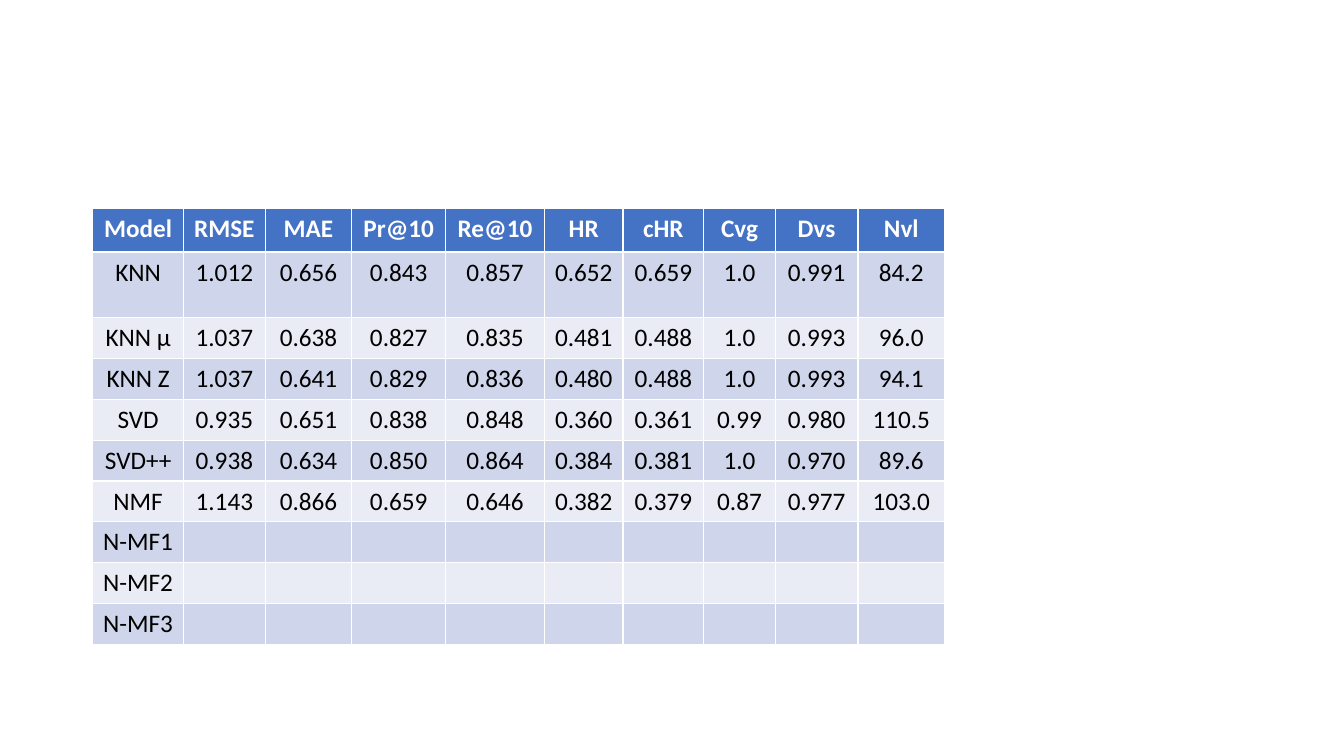
import dataclasses

import pptx
import pptx.dml.color
import pptx.enum.text
import pptx.table
import pptx.util

PX = 9144  # EMU per px, 100 px to the inch
HEADER_BLUE = pptx.dml.color.RGBColor(0x44, 0x72, 0xC4)
BAND_DARK = pptx.dml.color.RGBColor(0xCF, 0xD5, 0xEA)
BAND_LIGHT = pptx.dml.color.RGBColor(0xE9, 0xEB, 0xF5)
WHITE = pptx.dml.color.RGBColor(0xFF, 0xFF, 0xFF)
BLACK = pptx.dml.color.RGBColor(0x00, 0x00, 0x00)


@dataclasses.dataclass(frozen=True)
class Column:
    heading: str
    width: int


@dataclasses.dataclass(frozen=True)
class Result:
    model: str
    scores: str = ""
    height: int = 37


COLUMNS = [
    Column("Model", 90),
    Column("RMSE", 81),
    Column("MAE", 86),
    Column("Pr@10", 93),
    Column("Re@10", 98),
    Column("HR", 78),
    Column("cHR", 80),
    Column("Cvg", 71),
    Column("Dvs", 82),
    Column("Nvl", 86),
]
RESULTS = [
    Result("KNN", "1.012 0.656 0.843 0.857 0.652 0.659 1.0 0.991 84.2", 65),
    Result("KNN μ", "1.037 0.638 0.827 0.835 0.481 0.488 1.0 0.993 96.0"),
    Result("KNN Z", "1.037 0.641 0.829 0.836 0.480 0.488 1.0 0.993 94.1"),
    Result("SVD", "0.935 0.651 0.838 0.848 0.360 0.361 0.99 0.980 110.5"),
    Result("SVD++", "0.938 0.634 0.850 0.864 0.384 0.381 1.0 0.970 89.6"),
    Result("NMF", "1.143 0.866 0.659 0.646 0.382 0.379 0.87 0.977 103.0"),
    Result("N-MF1"),
    Result("N-MF2"),
    Result("N-MF3"),
]
HEADER_HEIGHT = 43


def fill_row(
    table: pptx.table.Table,
    index: int,
    texts: list[str],
    height: int,
    fill: pptx.dml.color.RGBColor,
) -> None:
    """Write, size and colour one row; texts may be shorter than the row."""
    is_header = index == 0
    table.rows[index].height = height * PX
    for column, cell in enumerate(table.rows[index].cells):
        cell.fill.solid()
        cell.fill.fore_color.rgb = fill
        if column < len(texts):
            cell.text = texts[column]
        para = cell.text_frame.paragraphs[0]
        para.alignment = pptx.enum.text.PP_ALIGN.CENTER
        para.font.name = "Calibri"
        para.font.size = pptx.util.Pt(18)
        para.font.bold = is_header
        para.font.color.rgb = WHITE if is_header else BLACK


def main() -> None:
    deck = pptx.Presentation()
    deck.slide_width, deck.slide_height = 1333 * PX, 750 * PX
    page = deck.slides.add_slide(deck.slide_layouts.get_by_name("Blank"))

    width = sum(column.width for column in COLUMNS)
    height = HEADER_HEIGHT + sum(result.height for result in RESULTS)
    table = page.shapes.add_table(
        len(RESULTS) + 1, len(COLUMNS), 92 * PX, 207 * PX, width * PX, height * PX
    ).table
    for table_column, column in zip(table.columns, COLUMNS):
        table_column.width = column.width * PX

    headings = [column.heading for column in COLUMNS]
    fill_row(table, 0, headings, HEADER_HEIGHT, HEADER_BLUE)
    for index, result in enumerate(RESULTS, start=1):
        band = BAND_DARK if index % 2 else BAND_LIGHT
        texts = [result.model, *result.scores.split()]
        fill_row(table, index, texts, result.height, band)

    deck.save("out.pptx")


if __name__ == "__main__":
    main()
